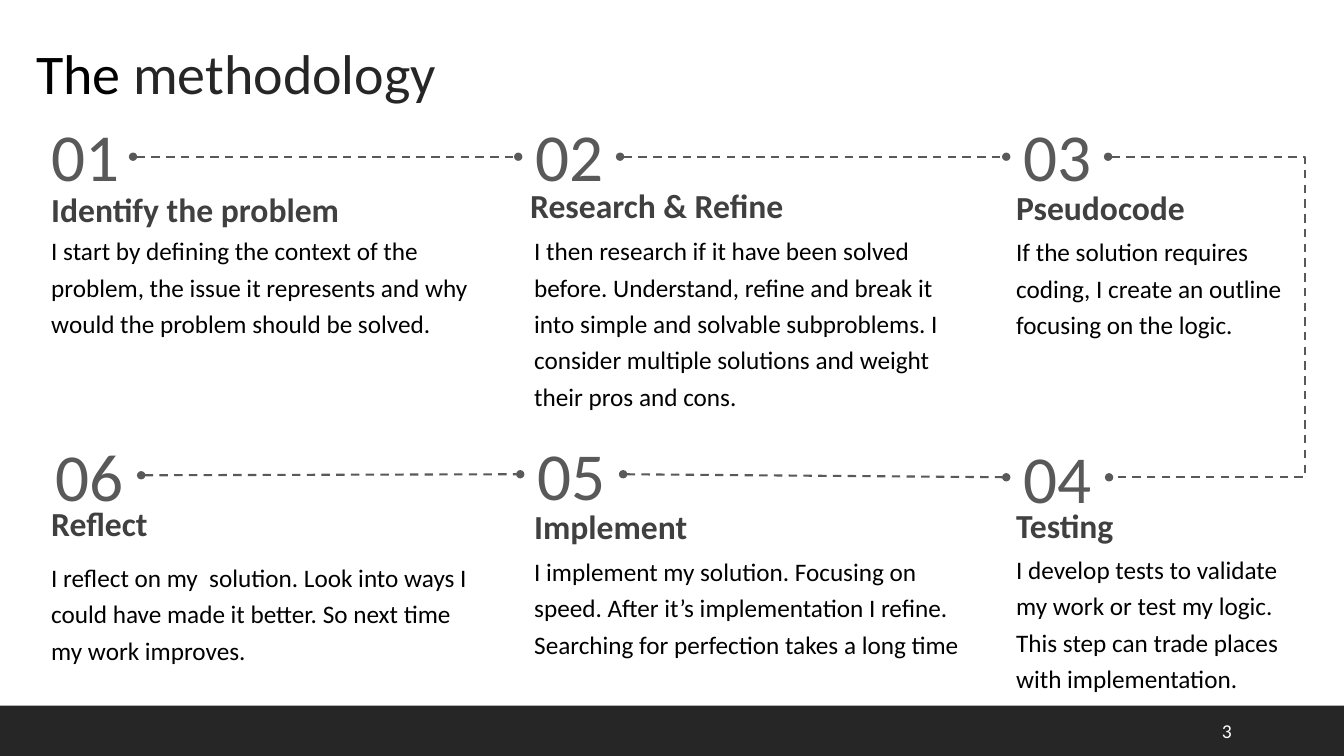
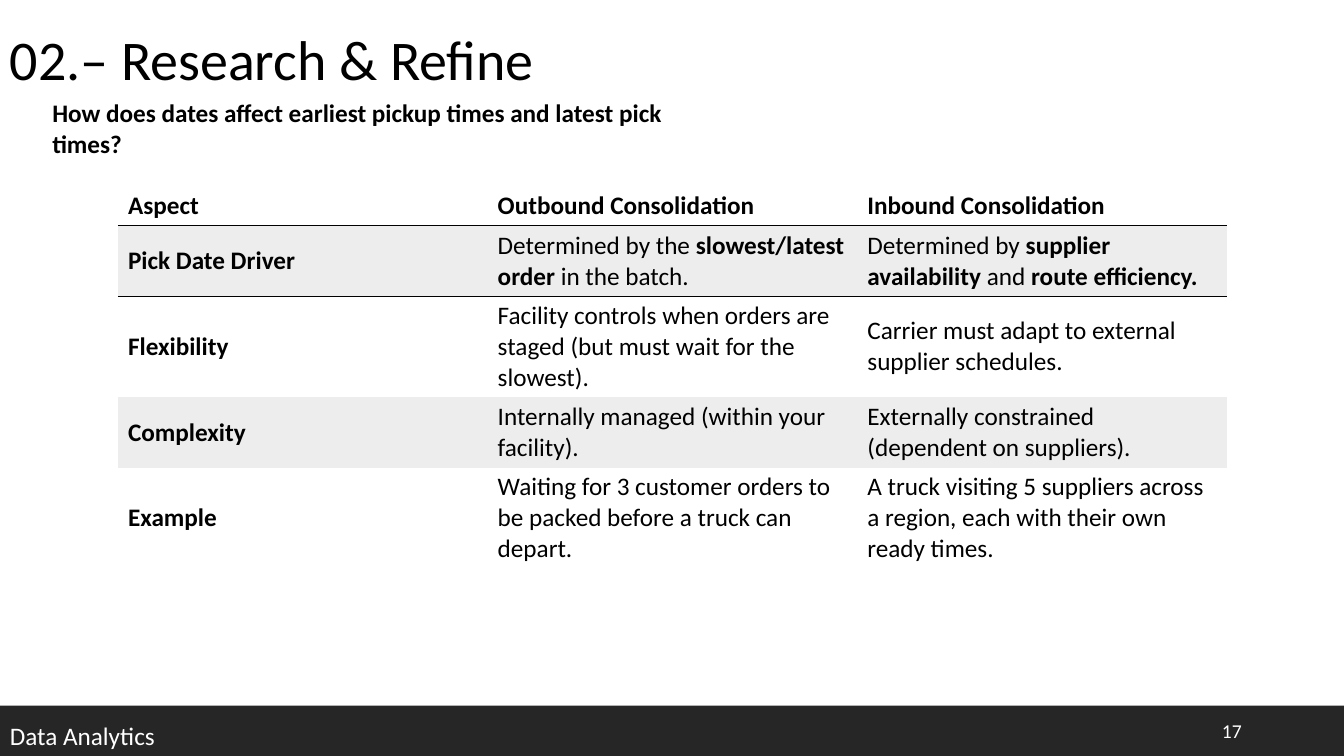
from itertools import pairwise

from lxml import etree
from pptx import Presentation
from pptx.dml.color import RGBColor
from pptx.enum.dml import MSO_LINE
from pptx.enum.shapes import MSO_CONNECTOR, MSO_SHAPE
from pptx.enum.text import MSO_ANCHOR, MSO_AUTO_SIZE, PP_ALIGN
from pptx.oxml.ns import qn
from pptx.util import Inches, Pt

STRAIGHT, ELBOW = MSO_CONNECTOR.STRAIGHT, MSO_CONNECTOR.ELBOW
RECTANGLE = MSO_SHAPE.RECTANGLE
MIDDLE, TOP = MSO_ANCHOR.MIDDLE, MSO_ANCHOR.TOP
CENTER = PP_ALIGN.CENTER
GROW, FIXED = MSO_AUTO_SIZE.SHAPE_TO_FIT_TEXT, MSO_AUTO_SIZE.NONE
DASH = MSO_LINE.DASH
LEFT_SIDE, RIGHT_SIDE = 1, 3

FONT = "Calibri"
BLACK, WHITE, CHARCOAL = "000000", "FFFFFF", "262626"
HEADING_GRAY, NUMBER_GRAY, STRIPE = "404040", "595959", "EDEDED"
NO_STYLE = "{2D5ABB26-0587-4C30-8999-92F81FD0307C}"

WIDTH, HEIGHT = 13.33, 7.5
BAND_HEIGHT = HEIGHT / 15
COLUMNS = (0.41, 5.2, 9.98)
BODY_WIDTHS = (4.42, 4.42, 2.92)
HEADING_WIDTH, HEADING_HEIGHT = 3.44, 0.5
TURN_X = 12.97

# number, column, number box, heading (left shift, top), body (top, height)
STEPS = [
    ("01", 0, (0.38, 1.09, 0.94, 0.93), (0, 1.83), (2.23, 1.17),
     "Identify the problem",
     "I start by defining the context of the problem, the issue it represents "
     "and why would the problem should be solved."),
    ("02", 1, (5.14, 1.09, 1.01, 0.93), (-0.04, 1.79), (2.23, 1.89),
     "Research & Refine",
     "I then research if it have been solved before. Understand, refine and "
     "break it into simple and solvable subproblems. I consider multiple "
     "solutions and weight their pros and cons."),
    ("03", 2, (9.98, 1.09, 1.01, 0.93), (0, 1.81), (2.24, 1.17),
     "Pseudocode",
     "If the solution requires coding, I create an outline focusing on the logic."),
    ("04", 2, (9.98, 4.28, 1.02, 0.91), (0, 4.96), (5.39, 1.53),
     "Testing",
     "I develop tests to validate my work or test my logic. This step can trade "
     "places with implementation."),
    ("05", 1, (5.16, 4.25, 1.02, 0.91), (0, 4.97), (5.41, 1.53),
     "Implement",
     "I implement my solution. Focusing on speed. After it’s implementation I "
     "refine. Searching for perfection takes a long time"),
    ("06", 0, (0.38, 4.26, 1.02, 0.91), (0, 4.94), (5.47, 1.17),
     "Reflect",
     "I reflect on my  solution. Look into ways I could have made it better. "
     "So next time my work improves."),
]

ROW_HEIGHTS = (0.39, 0.7, 1, 0.7, 1)
COMPARISON = [
    ("*Aspect*", "*Outbound Consolidation*", "*Inbound Consolidation*"),
    ("*Pick Date Driver*",
     "Determined by the *slowest/latest order* in the batch.",
     "Determined by *supplier availability* and *route efficiency.*"),
    ("*Flexibility*",
     "Facility controls when orders are staged (but must wait for the slowest).",
     "Carrier must adapt to external supplier schedules."),
    ("*Complexity*",
     "Internally managed (within your facility).",
     "Externally constrained (dependent on suppliers)."),
    ("*Example*",
     "Waiting for 3 customer orders to be packed before a truck can depart.",
     "A truck visiting 5 suppliers across a region, each with their own ready times."),
]


def color(value):
    return RGBColor.from_string(value)


def style(font, size, tint, bold=False):
    font.name, font.size, font.bold = FONT, Pt(size), bold
    font.color.rgb = color(tint)


def add_text(page, text, place, size, tint=BLACK, bold=False, align=None,
             spacing=None, anchor=TOP, fit=GROW):
    box = page.shapes.add_textbox(*map(Inches, place))
    frame = box.text_frame
    frame.word_wrap = True
    frame.auto_size = fit
    frame.vertical_anchor = anchor
    para = frame.paragraphs[0]
    para.text = text
    para.alignment = align
    para.line_spacing = spacing
    style(para.font, size, tint, bold)
    return box


def add_title(page, text, left, top, width):
    return add_text(page, text, (left, top, width, 0.77), 40)


def add_band(page, number):
    band = page.shapes.add_shape(RECTANGLE, 0, Inches(HEIGHT - BAND_HEIGHT),
                                 Inches(WIDTH), Inches(BAND_HEIGHT))
    band.shadow.inherit = False
    band.fill.solid()
    band.fill.fore_color.rgb = color(CHARCOAL)
    band.line.fill.background()
    add_text(page, number, (12.02, 7.05, 0.85, 0.4), 14, WHITE,
             anchor=MIDDLE, fit=FIXED)


def join(page, first, first_side, second, second_side, kind=STRAIGHT):
    link = page.shapes.add_connector(kind, 0, 0, 0, 0)
    link.begin_connect(first, first_side)
    link.end_connect(second, second_side)
    link.line.color.rgb = color(NUMBER_GRAY)
    link.line.width = Pt(1.5)
    link.line.dash_style = DASH
    outline = link.line._get_or_add_ln()
    for end in ("a:headEnd", "a:tailEnd"):
        etree.SubElement(outline, qn(end), type="oval")
    etree.SubElement(link._element.spPr, qn("a:effectLst"))
    return link


def bend_at(link, x):
    ratio = (Inches(x) - link.begin_x) / (link.end_x - link.begin_x)
    guides = link._element.spPr.find(qn("a:prstGeom")).get_or_add_avLst()
    etree.SubElement(guides, qn("a:gd"), name="adj1",
                     fmla=f"val {round(ratio * 100000)}")


def add_step(page, number, column, number_place, heading_at, body_at, heading, body):
    left = COLUMNS[column]
    shift, heading_top = heading_at
    body_top, body_height = body_at
    add_text(page, heading, (left + shift, heading_top, HEADING_WIDTH, HEADING_HEIGHT),
             24, HEADING_GRAY, bold=True)
    add_text(page, body, (left, body_top, BODY_WIDTHS[column], body_height),
             18, spacing=1.2)
    return add_text(page, number, number_place, 48, NUMBER_GRAY, align=CENTER)


def underline(cell):
    line = etree.SubElement(cell._tc.get_or_add_tcPr(), qn("a:lnB"), w=str(Pt(1)))
    fill = etree.SubElement(line, qn("a:solidFill"))
    etree.SubElement(fill, qn("a:srgbClr"), val=BLACK)


def fill_cell(cell, text, striped, ruled):
    cell.vertical_anchor = MIDDLE
    cell.margin_top = cell.margin_bottom = Inches(0.04)
    if ruled:
        underline(cell)
    if striped:
        cell.fill.solid()
        cell.fill.fore_color.rgb = color(STRIPE)
    else:
        cell.fill.background()
    para = cell.text_frame.paragraphs[0]
    for index, part in enumerate(text.split("*")):
        if part:
            span = para.add_run()
            span.text = part
            style(span.font, 18, BLACK, index % 2 == 1)


def add_comparison(page, rows, left, top, width):
    frame = page.shapes.add_table(len(rows), len(rows[0]), Inches(left), Inches(top),
                                  Inches(width), Inches(sum(ROW_HEIGHTS)))
    table = frame.table
    table.first_row = table.horz_banding = False
    table._tbl.tblPr.find(qn("a:tableStyleId")).text = NO_STYLE
    for r, texts in enumerate(rows):
        table.rows[r].height = Inches(ROW_HEIGHTS[r])
        for c, text in enumerate(texts):
            fill_cell(table.cell(r, c), text, striped=r % 2 == 1, ruled=r < 2)


def build_methodology(page):
    add_band(page, "3")
    title = add_title(page, "The ", 0.26, 0.33, 4.88)
    span = title.text_frame.paragraphs[0].add_run()
    span.text = "methodology"
    span.font.color.rgb = color(CHARCOAL)
    numbers = [add_step(page, *step) for step in STEPS]
    top_row, bottom_row = numbers[:3], numbers[:2:-1]
    for row in (top_row, bottom_row):
        for first, second in pairwise(row):
            join(page, first, RIGHT_SIDE, second, LEFT_SIDE)
    turn = join(page, top_row[-1], RIGHT_SIDE, bottom_row[-1], RIGHT_SIDE, ELBOW)
    bend_at(turn, TURN_X)


def build_research(page):
    add_band(page, "17")
    add_title(page, "02.– Research & Refine", 0, 0.19, 7.21)
    add_text(page, "Data Analytics", (0, 7.1, 2.54, 0.4), 18, WHITE)
    add_text(page, "How does dates affect earliest pickup times and latest pick times?",
             (0.42, 0.92, 6.78, 0.71), 18, bold=True)
    add_comparison(page, COMPARISON, 1.17, 1.85, 11)


def main():
    deck = Presentation()
    deck.slide_width, deck.slide_height = Inches(WIDTH), Inches(HEIGHT)
    blank = deck.slide_layouts[6]
    for build in (build_methodology, build_research):
        build(deck.slides.add_slide(blank))
    deck.save("out.pptx")


if __name__ == "__main__":
    main()
